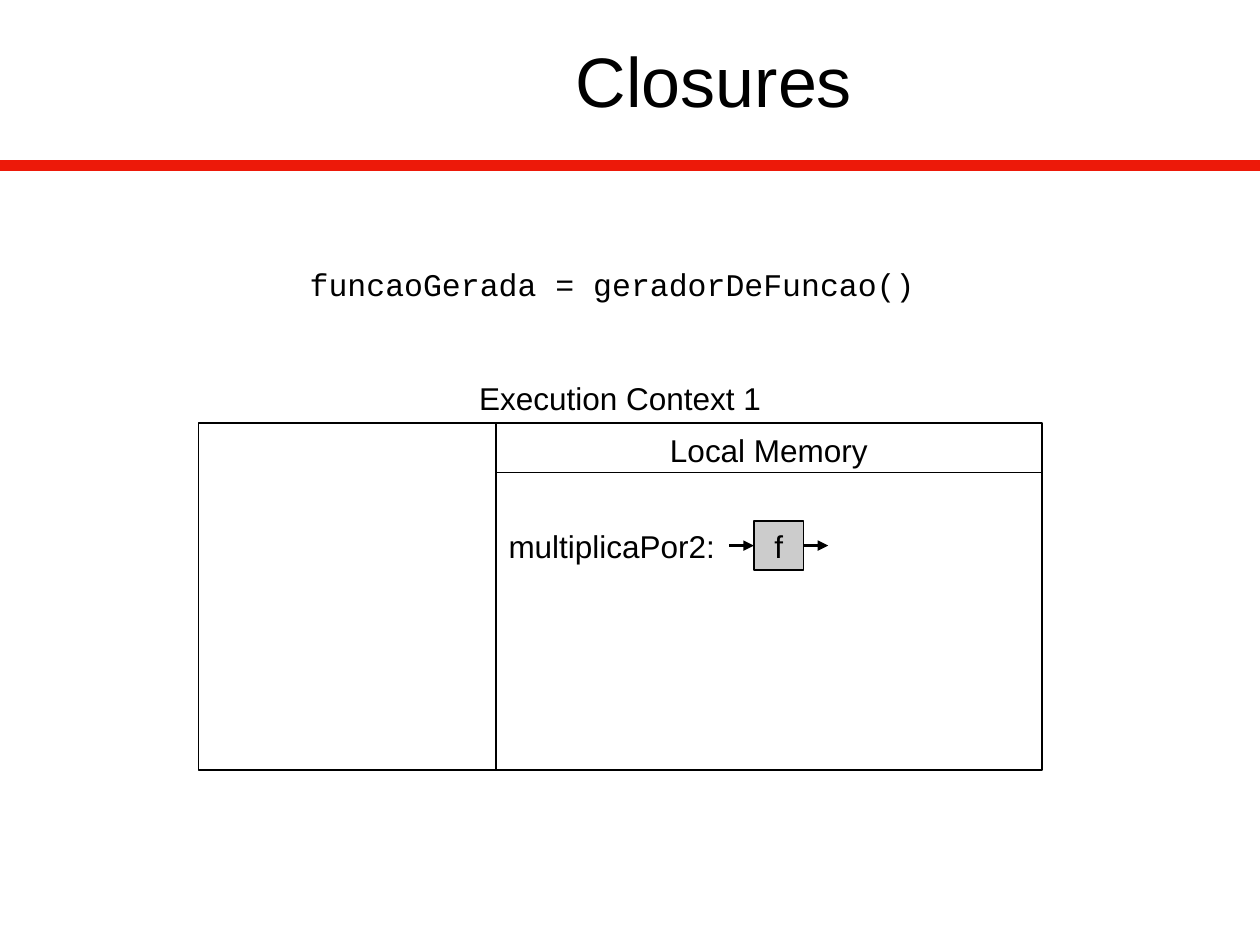
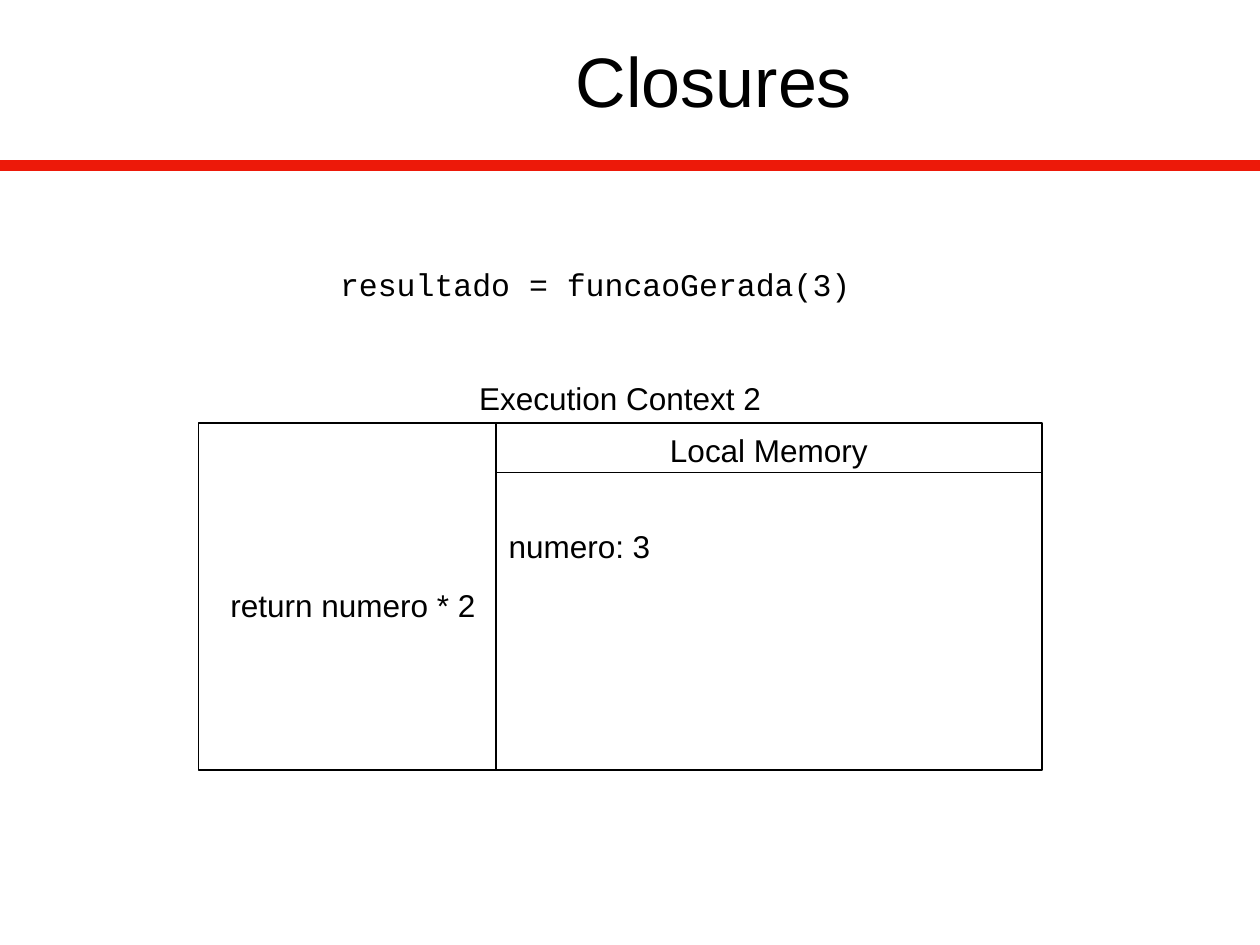
import pptx
import pptx.dml.color
import pptx.enum.shapes
import pptx.enum.text
import pptx.oxml
import pptx.oxml.ns
import pptx.util

Pt = pptx.util.Pt
ALIGN = pptx.enum.text.PP_ALIGN
ANCHOR = pptx.enum.text.MSO_ANCHOR

BLACK, RED, GRAY = "000000", "ED1909", "CCCCCC"
SANS, MONO = "Arial", "Courier New"

# Frame of the execution context, in points
LEFT, DIVIDER, RIGHT = 113.4, 283.5, 595.3
TOP, HEADER, BOTTOM = 241.8, 270, 440.2
LABEL_HEIGHT = 29
VARIABLE_TOP = 297.6
CELL = 28.35
ARROW_LENGTH = 14.15


def color(hex_text):
    return pptx.dml.color.RGBColor.from_string(hex_text)


def write(box, text, size=18, font=SANS, align=ALIGN.LEFT,
          anchor=ANCHOR.TOP, wrap=True, ink=BLACK):
    frame = box.text_frame
    frame.word_wrap = wrap
    frame.vertical_anchor = anchor
    para = frame.paragraphs[0]
    para.alignment = align
    span = para.add_run()
    span.text = text
    span.font.size = Pt(size)
    span.font.name = font
    span.font.color.rgb = color(ink)


class Painter:
    """Holds the deck style and the place where elements are drawn."""

    def __init__(self, deck):
        self.deck = deck
        self.page = None
        self.shapes = None

    def start_page(self, title):
        self.page = self.deck.slides.add_slide(self.deck.slide_layouts[6])
        self.shapes = self.page.shapes
        self.line(0, 94.5, 720, 94.5, ink=RED, width=6)
        self.text(110.3, -6.5, 595.3, 104, title, size=40,
                  align=ALIGN.CENTER, anchor=ANCHOR.MIDDLE)

    def text(self, left, top, width, height, text, **style):
        box = self.shapes.add_textbox(Pt(left), Pt(top), Pt(width), Pt(height))
        write(box, text, **style)

    def rectangle(self, left, top, width, height, fill=None):
        box = self.shapes.add_shape(pptx.enum.shapes.MSO_SHAPE.RECTANGLE,
                                    Pt(left), Pt(top), Pt(width), Pt(height))
        box.shadow.inherit = False
        box.line.color.rgb = color(BLACK)
        box.line.width = Pt(1)
        if fill:
            box.fill.solid()
            box.fill.fore_color.rgb = color(fill)
        else:
            box.fill.background()
        return box

    def line(self, x1, y1, x2, y2, ink=BLACK, width=1, arrow=False):
        line = self.shapes.add_connector(
            pptx.enum.shapes.MSO_CONNECTOR.STRAIGHT,
            Pt(x1), Pt(y1), Pt(x2), Pt(y2))
        line.line.color.rgb = color(ink)
        line.line.width = Pt(width)
        if arrow:
            head = pptx.oxml.parse_xml(
                "<a:tailEnd %s type='triangle'/>" % pptx.oxml.ns.nsdecls("a"))
            line.line._get_or_add_ln().append(head)
        line._element.spPr.append(pptx.oxml.parse_xml(
            "<a:effectLst %s/>" % pptx.oxml.ns.nsdecls("a")))

    def code(self, left, width, text):
        self.text(left, 147.6, width, LABEL_HEIGHT, text, font=MONO, wrap=False)

    def execution_context(self, number, variable):
        self.line(DIVIDER, TOP, DIVIDER, BOTTOM)
        self.line(DIVIDER, HEADER, RIGHT, HEADER)
        self.text(LEFT, TOP - LABEL_HEIGHT, RIGHT - LEFT, LABEL_HEIGHT,
                  f"Execution Context {number}", align=ALIGN.CENTER)
        self.text(DIVIDER, TOP + 0.7, RIGHT - DIVIDER, LABEL_HEIGHT,
                  "Local Memory", align=ALIGN.CENTER)
        self.rectangle(LEFT, TOP, RIGHT - LEFT, BOTTOM - TOP)
        self.text(DIVIDER, VARIABLE_TOP, 170, LABEL_HEIGHT, variable)

    def function_cell(self, left, top):
        """Grouped cell with an arrow going in and an arrow going out."""
        self.shapes = self.page.shapes.add_group_shape().shapes
        cell = self.rectangle(left, top, CELL, CELL, fill=GRAY)
        write(cell, "f", align=ALIGN.CENTER, anchor=ANCHOR.MIDDLE, wrap=False)
        middle = top + CELL / 2
        for start in (left - ARROW_LENGTH, left + CELL):
            self.line(start, middle, start + ARROW_LENGTH, middle,
                      width=0, arrow=True)
        self.shapes = self.page.shapes


def main():
    deck = pptx.Presentation()
    deck.slide_width, deck.slide_height = Pt(720), Pt(540)
    painter = Painter(deck)

    # The generator returns a function
    painter.start_page("Closures")
    painter.code(169.9, 360, "funcaoGerada = geradorDeFuncao()")
    painter.execution_context(1, "multiplicaPor2:")
    painter.function_cell(430.8, VARIABLE_TOP)

    # The returned function is called
    painter.start_page("Closures")
    painter.code(187.2, 306, "resultado = funcaoGerada(3)")
    painter.execution_context(2, "numero: 3")
    painter.text(124.6, 331.2, 170, LABEL_HEIGHT, "return numero * 2")

    deck.save("out.pptx")


if __name__ == "__main__":
    main()
